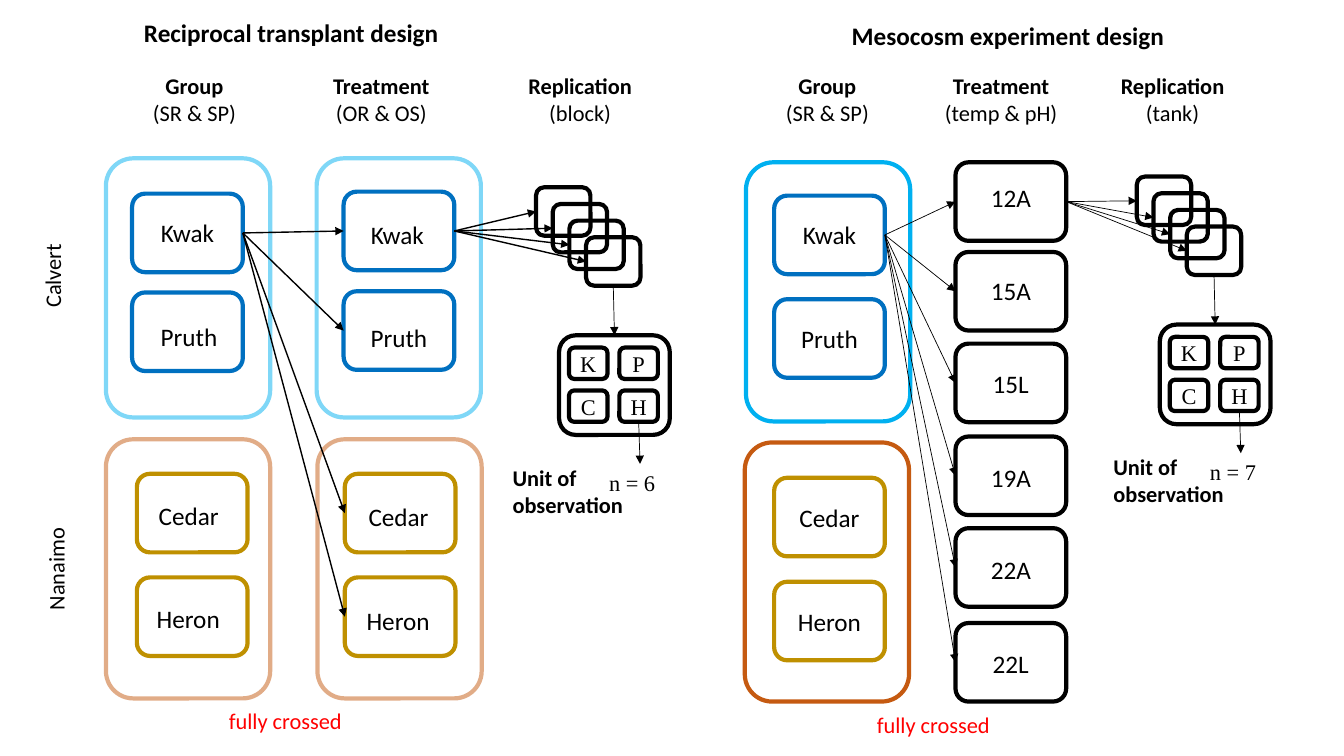
from lxml import etree
from pptx import Presentation
from pptx.dml.color import RGBColor
from pptx.enum.shapes import MSO_CONNECTOR, MSO_SHAPE
from pptx.enum.text import MSO_ANCHOR, MSO_AUTO_SIZE, PP_ALIGN
from pptx.oxml.ns import qn
from pptx.util import Cm, Pt

ROUNDED = MSO_SHAPE.ROUNDED_RECTANGLE
STRAIGHT = MSO_CONNECTOR.STRAIGHT
MIDDLE = MSO_ANCHOR.MIDDLE
CENTER, LEFT = PP_ALIGN.CENTER, PP_ALIGN.LEFT
NO_AUTOFIT = MSO_AUTO_SIZE.NONE
TOP_SIDE, LEFT_SIDE, BOTTOM_SIDE, RIGHT_SIDE = range(4)

BLACK = RGBColor(0x00, 0x00, 0x00)
RED = RGBColor(0xFF, 0x00, 0x00)
SKY = RGBColor(0x00, 0xB0, 0xF0)
BLUE = RGBColor(0x00, 0x70, 0xC0)
RUST = RGBColor(0xC5, 0x5A, 0x11)
GOLD = RGBColor(0xBF, 0x90, 0x00)
SANS, SERIF = "Calibri", "Times New Roman"

# Content, all lengths in cm
# regions: left, top, colour
# groups, treatments: label, left, top, colour, label shift (x, y)
# headers: bold line, plain line, centre
DESIGNS = [
    {
        "title": ("Reciprocal transplant design", 7.34, 0.3, 7.98),
        "headers": [("Group", "(SR & SP)", 4.9), ("Treatment", "(OR & OS)", 9.61),
                    ("Replication", "(block)", 14.62)],
        "regions": [(2.67, 3.99, SKY), (7.98, 3.99, SKY),
                    (2.67, 11.07, RUST), (8.0, 11.07, RUST)],
        "region_opacity": 50,
        "groups": [("Kwak", 3.33, 4.88, BLUE, (0, 0)),
                   ("Pruth", 3.33, 7.37, BLUE, (0.04, 0.13)),
                   ("Cedar", 3.45, 11.94, GOLD, (-0.09, 0.05)),
                   ("Heron", 3.45, 14.55, GOLD, (-0.1, 0.05))],
        "treatments": [("Kwak", 8.66, 4.83, BLUE, (-0.04, 0.08)),
                       ("Pruth", 8.66, 7.34, BLUE, (0, 0.18)),
                       ("Cedar", 8.69, 11.94, GOLD, (-0.04, 0.08)),
                       ("Heron", 8.69, 14.55, GOLD, (-0.05, 0.1))],
        "arrow_width": 1,
        "stack": (13.51, 4.72),
        "sample": "n = 6",
        "crossed": (7.19, 17.7),
    },
    {
        "title": ("Mesocosm experiment design", 25.4, 0.38, 8.43),
        "headers": [("Group", "(SR & SP)", 20.85), ("Treatment", "(temp & pH)", 25.23),
                    ("Replication", "(tank)", 29.55)],
        "regions": [(18.8, 4.09, SKY), (18.77, 11.15, RUST)],
        "region_opacity": 100,
        "groups": [("Kwak", 19.51, 4.93, BLUE, (0, 0)),
                   ("Pruth", 19.51, 7.54, BLUE, (0, 0)),
                   ("Cedar", 19.51, 12.04, GOLD, (0, 0)),
                   ("Heron", 19.51, 14.66, GOLD, (0, 0))],
        "treatments": [("12A", 24.08, 4.09, BLACK, (0, -0.1)),
                       ("15A", 24.08, 6.35, BLACK, (0, -0.03)),
                       ("15L", 24.08, 8.66, BLACK, (0, 0)),
                       ("19A", 24.08, 11.0, BLACK, (0, 0.03)),
                       ("22A", 24.08, 13.31, BLACK, (0, 0.05)),
                       ("22L", 24.08, 15.7, BLACK, (0, 0.03))],
        "arrow_width": 0.5,
        "stack": (28.65, 4.45),
        "sample": "n = 7",
        "crossed": (23.52, 17.8),
    },
]
SITES = [("Calvert", 1.32, 6.48, 2.13), ("Nanaimo", 1.41, 13.87, 2.62)]
CELLS = [["K", "P"], ["C", "H"]]
REPLICATES = 4

# Sizes in cm
REGION_SIZE = (4.14, 6.53)
BOX_SIZE = (2.79, 1.98)
REPLICATE_SIZE, REPLICATE_STEP = (1.37, 1.22), 0.42
PANEL_SIZE = (2.79, 2.51)
CELL_SIZE, CELL_PITCH = (0.97, 0.79), (1.27, 1.08)
ONE_LINE, TWO_LINES, TITLE_HEIGHT = 0.94, 1.63, 1.02

deck = Presentation()
deck.slide_width, deck.slide_height = Cm(33.87), Cm(19.05)
page = deck.slides.add_slide(deck.slide_layouts[5])


def write(frame, lines, size, font=SANS, color=BLACK, bold=(False, False), align=CENTER):
    frame.text = "\n".join(lines)
    for para, heavy in zip(frame.paragraphs, bold):
        para.alignment = align
        para.font.name, para.font.size = font, Pt(size)
        para.font.color.rgb, para.font.bold = color, heavy


def add_box(left, top, size, color, label="", shift=(0, 0), text_size=18, font=SANS):
    box = page.shapes.add_shape(ROUNDED, Cm(left), Cm(top), Cm(size[0]), Cm(size[1]))
    box.shadow.inherit = False
    box.fill.background()
    box.line.color.rgb, box.line.width = color, Pt(3)
    if label:
        frame = box.text_frame
        frame.word_wrap, frame.vertical_anchor = False, MIDDLE
        # Unequal margins move the label off centre
        frame.margin_left, frame.margin_right = (Cm(max(2 * d, 0)) for d in (shift[0], -shift[0]))
        frame.margin_top, frame.margin_bottom = (Cm(max(2 * d, 0)) for d in (shift[1], -shift[1]))
        write(frame, [label], text_size, font)
    return box


def add_text(left, top, width, height, lines, size=16, wrap=False, **style):
    box = page.shapes.add_textbox(Cm(left), Cm(top), Cm(width), Cm(height))
    box.text_frame.word_wrap = wrap
    write(box.text_frame, lines, size, **style)
    return box


def add_arrow(start, start_side, end, end_side, width=0.5):
    arrow = page.shapes.add_connector(STRAIGHT, 0, 0, 0, 0)
    arrow.begin_connect(start, start_side)
    arrow.end_connect(end, end_side)
    arrow.line.color.rgb, arrow.line.width = BLACK, Pt(width)
    etree.SubElement(arrow.line._get_or_add_ln(), qn("a:tailEnd"), type="triangle")
    etree.SubElement(arrow._element.spPr, qn("a:effectLst"))


def add_title(text, center, top, width, first):
    if first:
        title = page.shapes.title
        title.left, title.top = Cm(center - width / 2), Cm(top)
        title.width, title.height = Cm(width), Cm(TITLE_HEIGHT)
        frame = title.text_frame
        frame.auto_size, frame.vertical_anchor = NO_AUTOFIT, MIDDLE
        frame.word_wrap = False
        write(frame, [text], 18, bold=(True,))
    else:
        add_text(center - width / 2, top, width, TITLE_HEIGHT, [text], 18, bold=(True,))


def add_replication(left, top, treatment, sample, arrow_width):
    # Overlapping replicates, each reached from the first treatment
    for i in range(REPLICATES):
        offset = i * REPLICATE_STEP
        replicate = add_box(left + offset, top + offset, REPLICATE_SIZE, BLACK)
        add_arrow(treatment, RIGHT_SIDE, replicate, LEFT_SIDE, arrow_width)

    # Contents of the last replicate
    panel_left, panel_top = left + 0.58, top + 3.73
    panel = add_box(panel_left, panel_top, PANEL_SIZE, BLACK)
    add_arrow(replicate, BOTTOM_SIDE, panel, TOP_SIDE)
    for row, letters in enumerate(CELLS):
        for column, letter in enumerate(letters):
            cell = add_box(panel_left + 0.25 + column * CELL_PITCH[0],
                           panel_top + 0.31 + row * CELL_PITCH[1],
                           CELL_SIZE, BLACK, letter, text_size=16, font=SERIF)

    # Unit of observation and sample size
    add_text(left - 0.84, top + 6.85, 3.4, TWO_LINES, ["Unit of", "observation"],
             bold=(True, True), align=LEFT)
    count = add_text(left + 1.59, top + 6.97, 2.06, ONE_LINE, [sample],
                     wrap=True, font=SERIF, align=LEFT)
    add_arrow(cell, BOTTOM_SIDE, count, TOP_SIDE)


for number, design in enumerate(DESIGNS):
    # Title and column headers
    add_title(*design["title"], first=number == 0)
    for heading, detail, center in design["headers"]:
        add_text(center - 1.7, 1.7, 3.4, TWO_LINES, [heading, detail], bold=(True, False))

    # Regions
    for left, top, color in design["regions"]:
        region = add_box(left, top, REGION_SIZE, color)
        if design["region_opacity"] < 100:
            tint = region.line._get_or_add_ln().find(".//" + qn("a:srgbClr"))
            etree.SubElement(tint, qn("a:alpha"), val=str(design["region_opacity"] * 1000))

    # Groups and treatments, crossed from the first group
    groups, treatments = (
        [add_box(left, top, BOX_SIZE, color, label, shift)
         for label, left, top, color, shift in design[column]]
        for column in ("groups", "treatments"))
    for treatment in treatments:
        add_arrow(groups[0], RIGHT_SIDE, treatment, LEFT_SIDE, design["arrow_width"])

    add_replication(*design["stack"], treatments[0], design["sample"], design["arrow_width"])
    center, top = design["crossed"]
    add_text(center - 1.7, top, 3.4, ONE_LINE, ["fully crossed"], color=RED)

# Site names along the left edge
for site, center, top, width in SITES:
    add_text(center - width / 2, top, width, ONE_LINE, [site]).rotation = 270

deck.save("out.pptx")
